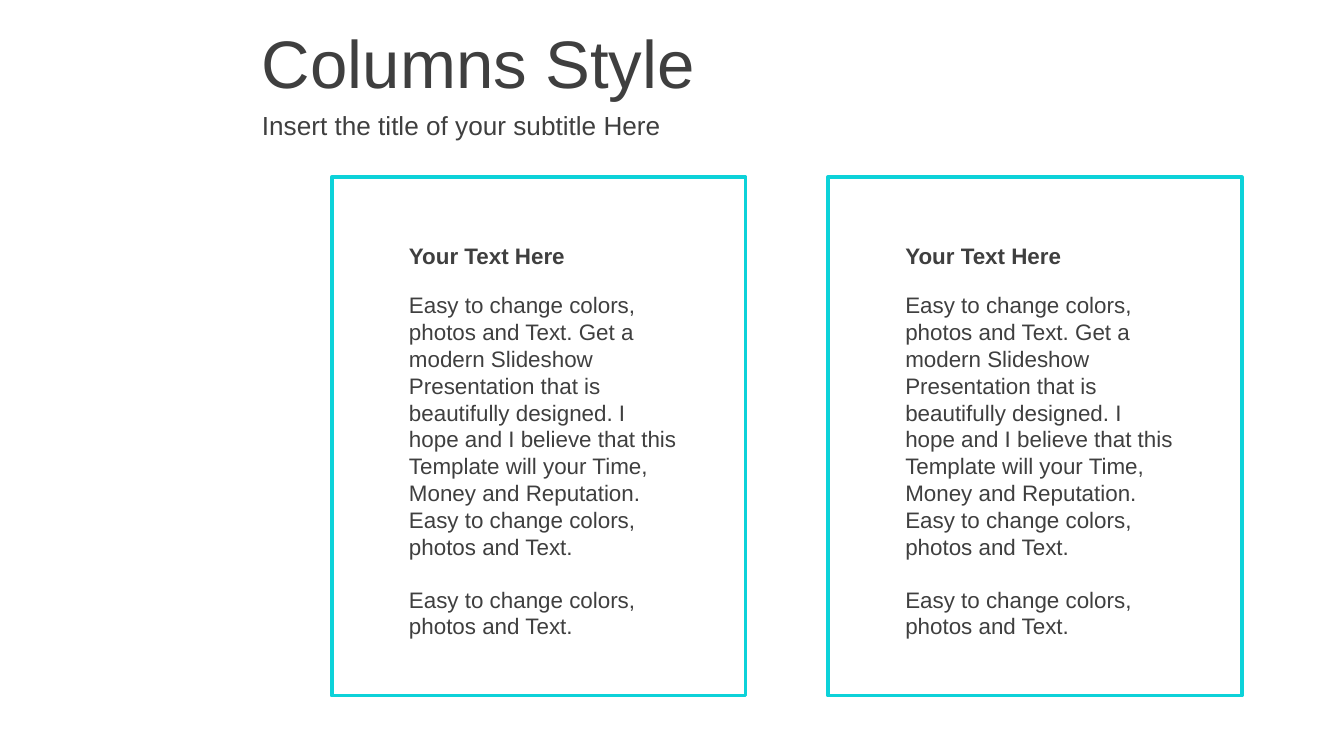
from pptx import Presentation
from pptx.dml.color import RGBColor
from pptx.enum.shapes import MSO_SHAPE
from pptx.enum.text import MSO_ANCHOR
from pptx.util import Cm, Pt

RECTANGLE = MSO_SHAPE.RECTANGLE
MIDDLE = MSO_ANCHOR.MIDDLE

COLORS = {"text": "3F3F3F", "frame": "0DD2D9"}
FORMATS = {
    "title": {"name": "Arial", "size": Pt(36)},
    "subtitle": {"name": "Arial", "size": Pt(14)},
    "heading": {"name": "Arial", "size": Pt(12), "bold": True},
    "body": {"name": "Arial", "size": Pt(12)},
}
PARAGRAPH_GAP = Pt(13.8)

HEADING = "Your Text Here"
BODY = [
    "Easy to change colors, photos and Text. Get a modern Slideshow "
    "Presentation that is beautifully designed. I hope and I believe that "
    "this Template will your Time, Money and Reputation. "
    "Easy to change colors, photos and Text.",
    "Easy to change colors, photos and Text.",
]


def add_text(slide, box, paragraphs, style):
    """Write paragraphs, one blank line's height apart, centred vertically."""
    frame = slide.shapes.add_textbox(*map(Cm, box)).text_frame
    frame.word_wrap = True
    frame.vertical_anchor = MIDDLE
    for index, wording in enumerate(paragraphs):
        paragraph = frame.paragraphs[0] if index == 0 else frame.add_paragraph()
        if index:
            paragraph.space_before = PARAGRAPH_GAP
        run = paragraph.add_run()
        run.text = wording
        for attribute, value in FORMATS[style].items():
            setattr(run.font, attribute, value)
        run.font.color.rgb = RGBColor.from_string(COLORS["text"])


def add_header(slide, left, top, width):
    title_height = 1.6
    add_text(slide, (left, top, width, title_height), ["Columns Style"], "title")
    add_text(slide, (left, top + title_height, width, 0.79),
             ["Insert the title of your subtitle Here"], "subtitle")


def add_column(slide, left, top, width, height):
    """Draw a framed column with its heading and body inside."""
    frame = slide.shapes.add_shape(RECTANGLE, *map(Cm, (left, top, width, height)))
    frame.shadow.inherit = False
    frame.fill.background()
    frame.line.color.rgb = RGBColor.from_string(COLORS["frame"])
    frame.line.width = Pt(2)

    text_left, text_width = left + 1.21, 5.61
    add_text(slide, (text_left, top + 1.98, text_width, 6.93), BODY, "body")
    add_text(slide, (text_left, top + 1.1, text_width, 0.76), [HEADING], "heading")


def main():
    presentation = Presentation()
    presentation.slide_width = Cm(25.4)
    presentation.slide_height = Cm(14.29)
    slide = presentation.slides.add_slide(presentation.slide_layouts[6])

    add_header(slide, 4.7, 0.36, 20.7)
    column_width, gap = 7.82, 1.56
    for column in range(2):
        left = 6.27 + column * (column_width + gap)
        add_column(slide, left, 3.35, column_width, 9.8)

    presentation.save("out.pptx")


if __name__ == "__main__":
    main()
